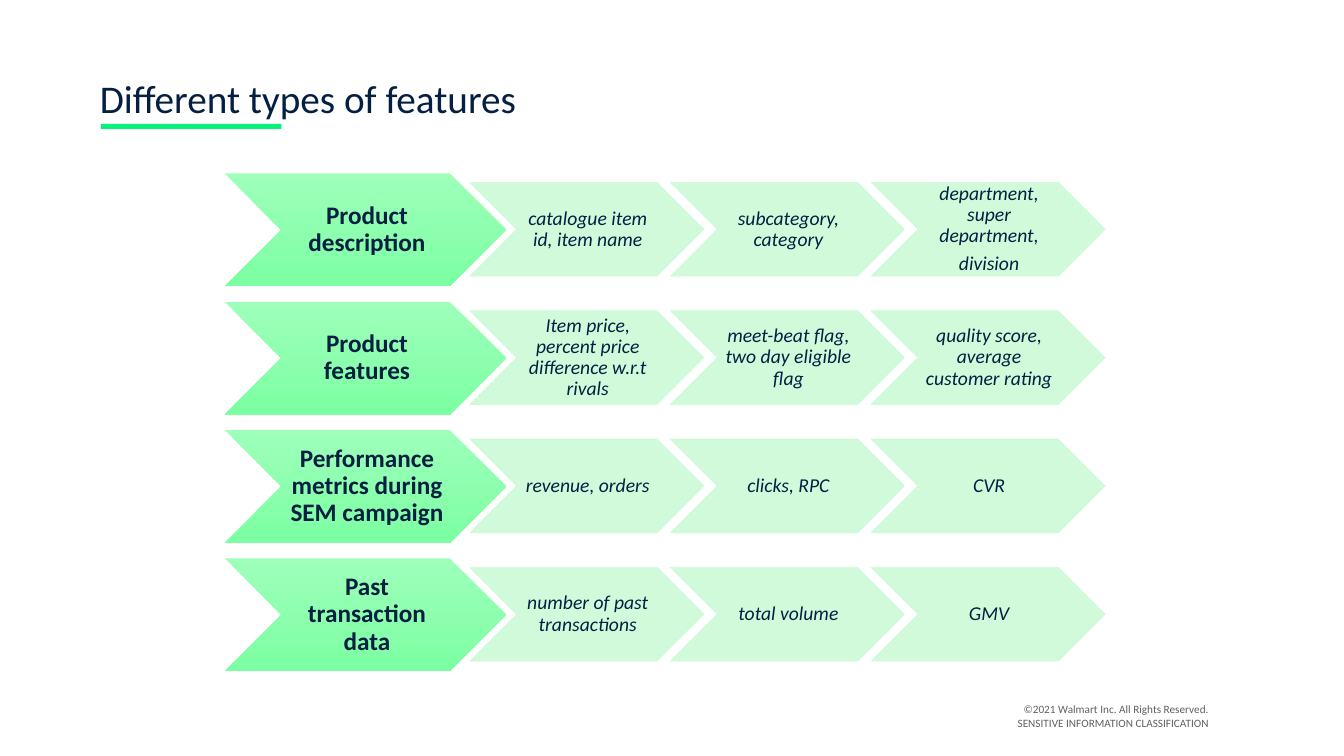
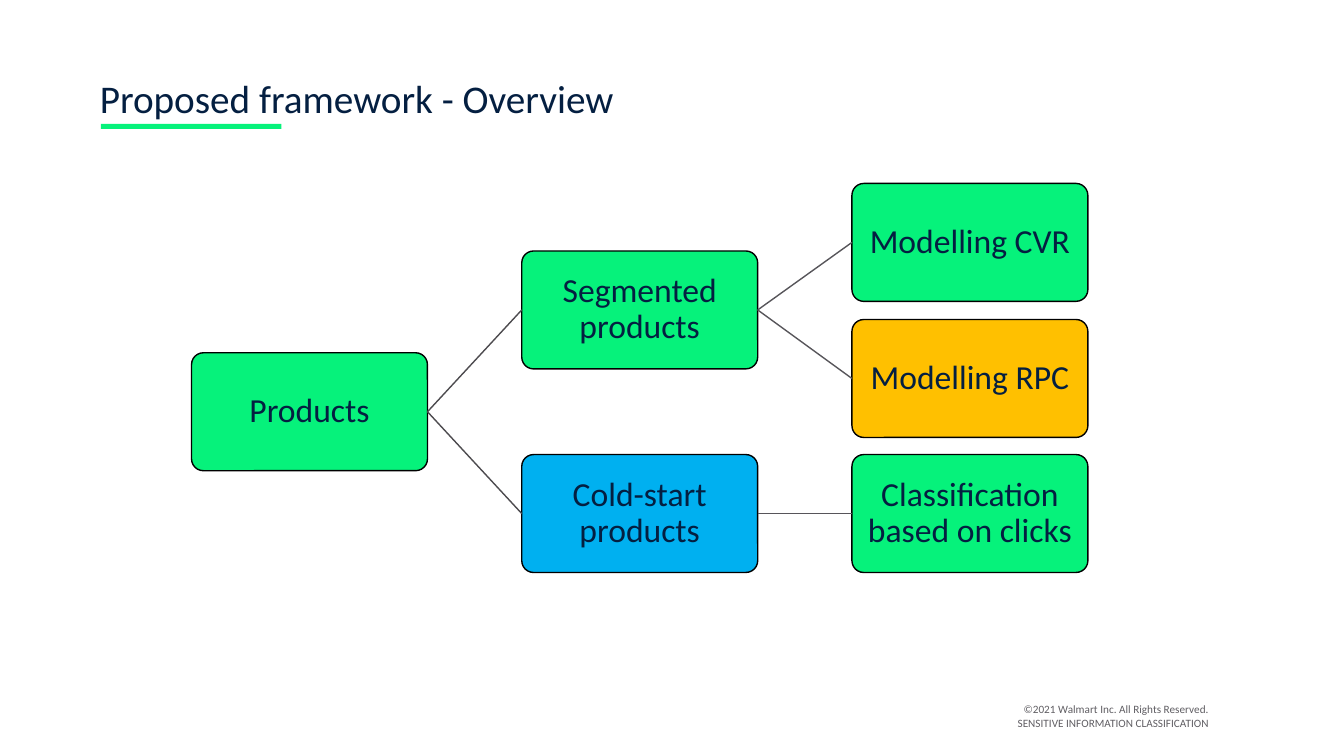
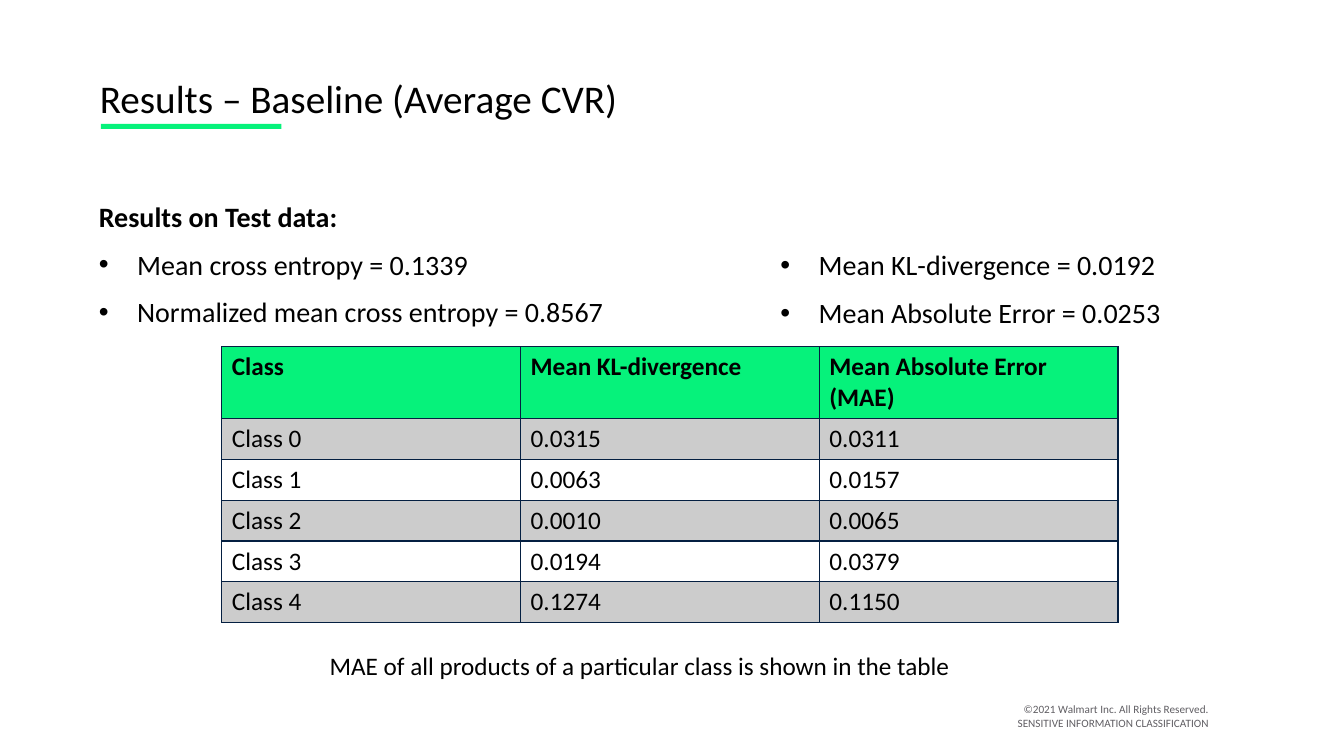
from dataclasses import dataclass
from lxml import etree
from pptx import Presentation
from pptx.dml.color import RGBColor as Rgb
from pptx.enum.shapes import MSO_CONNECTOR as Conn, MSO_SHAPE as Kind
from pptx.enum.text import MSO_ANCHOR as Anchor, MSO_AUTO_SIZE as Fit, PP_ALIGN as Align
from pptx.oxml.ns import qn
from pptx.util import Inches, Pt


@dataclass(frozen=True)
class Theme:
    font: str = "Calibri"
    navy: str = "041F41"
    black: str = "000000"
    white: str = "FFFFFF"
    green: str = "06F27B"
    blue: str = "00B0F0"
    gold: str = "FFC000"
    mint: str = "CCFAD7"
    light: str = "9EFFBA"
    deep: str = "7CFFA3"
    gray: str = "CCCCCC"
    note: str = "605E63"
    near: str = "4D4B4F"
    far: str = "57555A"
    title: int = 28
    node: int = 24
    list: int = 20
    text: int = 18
    item: int = 14
    foot: int = 8


T = Theme()

FOOT = "©2021 Walmart Inc. All Rights Reserved.\vSENSITIVE INFORMATION CLASSIFICATION"
FEATURES = [
    ("Product description", ["catalogue item id, item name", "subcategory, category",
                             "department, super department,\ndivision"]),
    ("Product features", ["Item price, percent price difference w.r.t rivals",
                          "meet-beat flag, two day eligible flag",
                          "quality score, average customer rating"]),
    ("Performance metrics during SEM campaign", ["revenue, orders", "clicks, RPC", "CVR"]),
    ("Past transaction data", ["number of past transactions", "total volume", "GMV"]),
]
NODES = {
    "Products": (0, 3.5, T.green),
    "Segmented products": (1, 2.49, T.green),
    "Cold-start products": (1, 4.51, T.blue),
    "Modelling CVR": (2, 1.82, T.green),
    "Modelling RPC": (2, 3.17, T.gold),
    "Classification based on clicks": (2, 4.51, T.green),
}
LINKS = [
    ("Products", "Segmented products", T.near),
    ("Products", "Cold-start products", T.near),
    ("Segmented products", "Modelling CVR", T.far),
    ("Segmented products", "Modelling RPC", T.far),
    ("Cold-start products", "Classification based on clicks", T.far),
]
HEAD = "Results on Test data:"
LEFT = [HEAD, "Mean cross entropy = 0.1339", "Normalized mean cross entropy = 0.8567"]
RIGHT = ["Mean KL-divergence = 0.0192", "Mean Absolute Error = 0.0253"]
TABLE = [
    ("Class", "Mean KL-divergence", "Mean Absolute Error (MAE)"),
    ("Class 0", "0.0315", "0.0311"),
    ("Class 1", "0.0063", "0.0157"),
    ("Class 2", "0.0010", "0.0065"),
    ("Class 3", "0.0194", "0.0379"),
    ("Class 4", "0.1274", "0.1150"),
]
NOTE = "MAE of all products of a particular class is shown in the table"


def rgb(color):
    return Rgb.from_string(color)


def ink(para, size, color, bold=False, italic=False):
    for run in para.runs:
        font = run.font
        font.name, font.size = T.font, Pt(size)
        font.bold, font.italic = bold, italic
        font.color.rgb = rgb(color)


def place(shape, x, y, w, h):
    shape.left, shape.top = Inches(x), Inches(y)
    shape.width, shape.height = Inches(w), Inches(h)


def start(deck, layout, title, color):
    slide = deck.slides.add_slide(deck.slide_layouts[layout])
    head = slide.shapes.title
    place(head, 0.89, 0.69, 11.41, 0.57)
    frame = head.text_frame
    frame.text = title
    frame.auto_size = Fit.NONE
    frame.vertical_anchor = Anchor.TOP
    para = frame.paragraphs[0]
    para.alignment = Align.LEFT
    ink(para, T.title, color)
    return slide


def block(slide, kind, box, fill):
    shape = slide.shapes.add_shape(kind, *map(Inches, box))
    shape.shadow.inherit = False
    shape.line.fill.background()
    shape.fill.solid()
    shape.fill.fore_color.rgb = rgb(fill)
    return shape


def label(shape, text, size, pad, **style):
    frame = shape.text_frame
    frame.text = text
    frame.word_wrap = True
    frame.vertical_anchor = Anchor.MIDDLE
    left, top, right, base = map(Inches, pad)
    frame.margin_left, frame.margin_top = left, top
    frame.margin_right, frame.margin_bottom = right, base
    for n, para in enumerate(frame.paragraphs):
        para.alignment = Align.CENTER
        para.line_spacing = 0.9
        para.space_before = Pt(5 if n else 0)
        ink(para, size, T.navy, **style)


def note(slide, box, text, size, color, align):
    area = slide.shapes.add_textbox(*map(Inches, box))
    frame = area.text_frame
    frame.word_wrap = True
    frame.text = text
    para = frame.paragraphs[0]
    para.alignment = align
    ink(para, size, color)
    return area


def fade(shape):
    for tint in shape.element.spPr.iter(qn("a:srgbClr")):
        etree.SubElement(tint, qn("a:alpha"), val="90000")


def features(deck):
    slide = start(deck, 5, "Different types of features", T.navy)
    for row, (name, items) in enumerate(FEATURES):
        top = 1.72 + row * 1.273
        lead = block(slide, Kind.CHEVRON, (2.23, top, 2.79, 1.12), T.light)
        lead.fill.gradient()
        lead.fill.gradient_angle = 270
        for stop, color in zip(lead.fill.gradient_stops, (T.light, T.deep)):
            stop.color.rgb = rgb(color)
        label(lead, name, T.text, (0.03, 0.01, 0, 0.01), bold=True)
        for col, item in enumerate(items):
            box = (4.66 + col * 1.99, top + 0.09, 2.32, 0.93)
            step = block(slide, Kind.CHEVRON, box, T.mint)
            step.line.color.rgb = rgb(T.mint)
            step.line.width = Pt(0.5)
            fade(step)
            label(step, item, T.item, (0.02, 0.01, 0, 0.01), italic=True)
    return slide


def overview(deck):
    slide = start(deck, 5, "Proposed framework - Overview", T.navy)
    boxes = {}
    for name, (col, top, fill) in NODES.items():
        box = block(slide, Kind.ROUNDED_RECTANGLE, (1.9 + col * 3.275, top, 2.34, 1.17), fill)
        box.adjustments[0] = 0.1
        box.line.color.rgb = rgb(T.black)
        box.line.width = Pt(1)
        label(box, name, T.node, (0.02,) * 4)
        boxes[name] = box
    for here, there, color in LINKS:
        link = slide.shapes.add_connector(Conn.STRAIGHT, 0, 0, 0, 0)
        link.begin_connect(boxes[here], 3)
        link.end_connect(boxes[there], 1)
        link.line.color.rgb = rgb(color)
        link.line.width = Pt(1)
        etree.SubElement(link.element.spPr, qn("a:effectLst"))


def bullets(holder, box, lines):
    place(holder, *box)
    frame = holder.text_frame
    frame.text = "\n".join(lines)
    frame.auto_size = Fit.NONE
    for n, para in enumerate(frame.paragraphs):
        head = para.text == HEAD
        props = para._p.get_or_add_pPr()
        dent = 0 if head else Inches(0.38)
        props.set("marL", str(dent))
        props.set("indent", str(-dent))
        if head:
            etree.SubElement(props, qn("a:buNone"))
        else:
            etree.SubElement(props, qn("a:buChar"), char="•")
        para.space_before = Pt(10 if n else 0)
        ink(para, T.list, T.black, bold=head)


def border(cell):
    props = cell._tc.get_or_add_tcPr()
    for n, side in enumerate(("lnL", "lnR", "lnT", "lnB")):
        line = etree.Element(qn("a:" + side), w=str(Pt(1)))
        fill = etree.SubElement(line, qn("a:solidFill"))
        etree.SubElement(fill, qn("a:srgbClr"), val=T.navy)
        props.insert(n, line)


def results(deck):
    slide = start(deck, 3, "Results – Baseline (Average CVR)", T.black)
    bullets(slide.placeholders[1], (0.88, 1.93, 5.76, 1.45), LEFT)
    bullets(slide.placeholders[2], (7.64, 2.41, 4.47, 0.97), RIGHT)
    size = len(TABLE), len(TABLE[0])
    grid = slide.shapes.add_table(*size, *map(Inches, (2.2, 3.44, 8.89, 2.73))).table
    for r, row in enumerate(TABLE):
        grid.rows[r].height = Inches(0.4 if r else 0.71)
        fill = T.green if r == 0 else T.gray if r % 2 else T.white
        for c, text in enumerate(row):
            cell = grid.cell(r, c)
            cell.text = text
            cell.fill.solid()
            cell.fill.fore_color.rgb = rgb(fill)
            border(cell)
            ink(cell.text_frame.paragraphs[0], T.text, T.black, bold=r == 0)
    note(slide, (3.17, 6.4, 6.85, 0.4), NOTE, T.text, T.black, Align.LEFT)


def brand(deck, slide):
    bar = block(slide, Kind.RECTANGLE, (1, 1.23, 1.79, 0.05), T.green)
    foot = note(slide, (8.93, 6.92, 3.16, 0.37), FOOT, T.foot, T.note, Align.RIGHT)
    for part in (bar, foot):
        deck.slide_master.shapes.element.append(part.element)


def main():
    deck = Presentation()
    deck.slide_width, deck.slide_height = Inches(13.33), Inches(7.5)
    first = features(deck)
    overview(deck)
    results(deck)
    brand(deck, first)
    deck.save("out.pptx")


if __name__ == "__main__":
    main()
